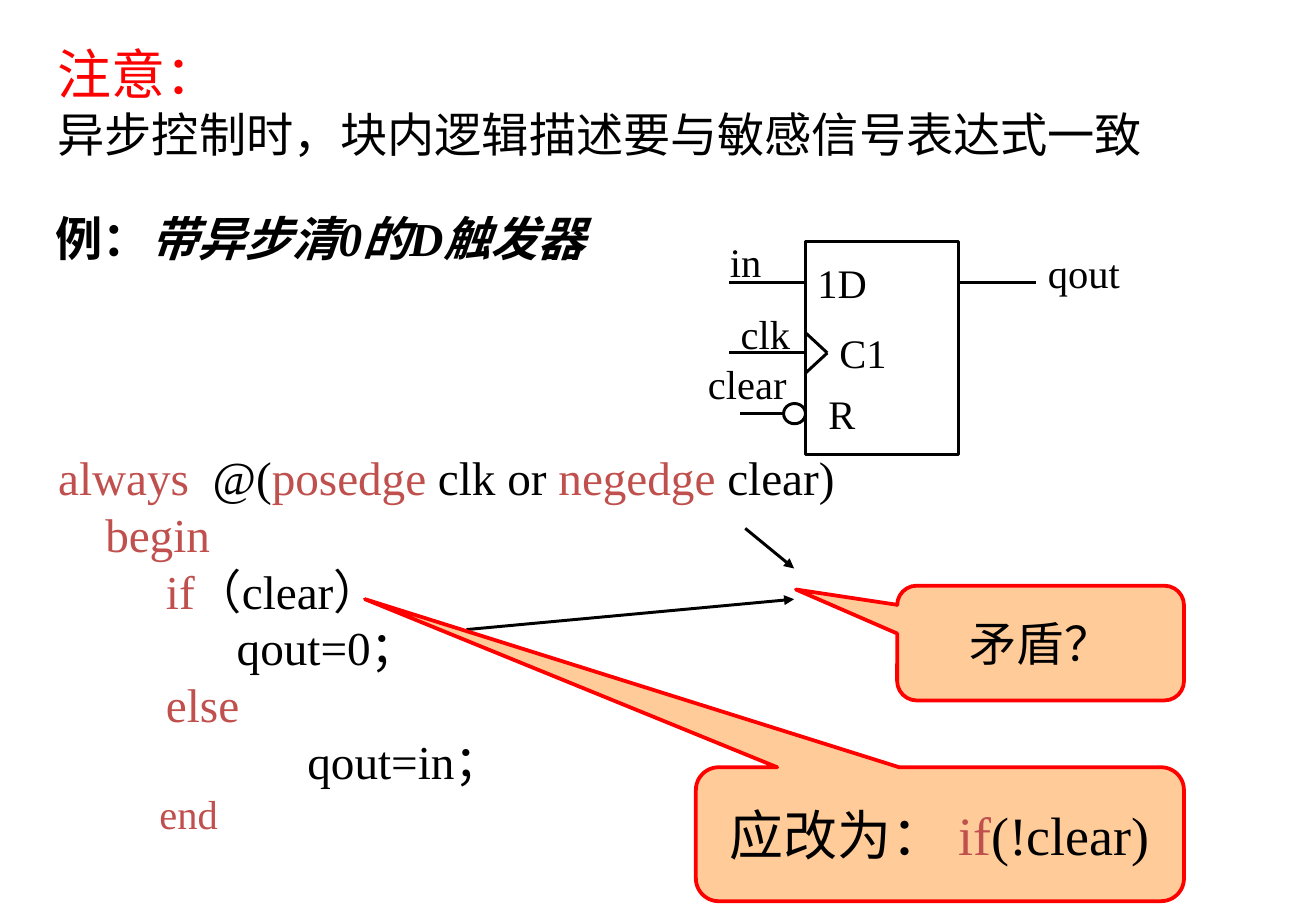
import pptx
import pptx.dml.color
import pptx.enum.shapes
import pptx.enum.text
import pptx.oxml
import pptx.oxml.ns
import pptx.util

Pt = pptx.util.Pt
SHAPES = pptx.enum.shapes.MSO_SHAPE
ALIGN = pptx.enum.text.PP_ALIGN
ANCHOR = pptx.enum.text.MSO_ANCHOR
FONT = "Times New Roman"
BLACK = pptx.dml.color.RGBColor(0, 0, 0)
RED = pptx.dml.color.RGBColor(0xFF, 0, 0)
KEYWORD = pptx.dml.color.RGBColor(0xC0, 0x50, 0x4D)
PEACH = pptx.dml.color.RGBColor(0xFF, 0xCC, 0x99)
LINE_HEIGHT = 1.2

deck = pptx.Presentation()
deck.slide_width = Pt(780.48)
deck.slide_height = Pt(540)
slide = deck.slides.add_slide(deck.slide_layouts[5])


def write(box, lines, align=ALIGN.LEFT, anchor=ANCHOR.TOP, wrap=False):
    """Fill a box; each line is (size, indent, runs), each run (text, colour[, bold, italic])."""
    frame = box.text_frame
    frame.word_wrap = wrap
    frame.vertical_anchor = anchor
    frame.auto_size = pptx.enum.text.MSO_AUTO_SIZE.NONE
    frame.margin_left = frame.margin_right = Pt(7.2)
    frame.margin_top = frame.margin_bottom = Pt(3.6)
    for number, (size, indent, runs) in enumerate(lines):
        para = frame.paragraphs[0] if number == 0 else frame.add_paragraph()
        para.alignment = align
        para.line_spacing = Pt(size * LINE_HEIGHT)
        if indent:
            para._p.get_or_add_pPr().set("marL", str(Pt(indent)))
        for text, colour, *style in runs:
            span = para.add_run()
            span.text = text
            span.font.name = FONT
            span.font.size = Pt(size)
            span.font.color.rgb = colour
            if style:
                span.font.bold, span.font.italic = style


def draw_line(x1, y1, x2, y2, arrow=False):
    line = slide.shapes.add_connector(
        pptx.enum.shapes.MSO_CONNECTOR.STRAIGHT, Pt(x1), Pt(y1), Pt(x2), Pt(y2))
    line.line.color.rgb = BLACK
    line.line.width = Pt(1.75)
    if arrow:
        tail = pptx.oxml.parse_xml(
            f'<a:tailEnd {pptx.oxml.ns.nsdecls("a")} type="triangle"/>')
        line.line._get_or_add_ln().append(tail)
    line._element.spPr.append(
        pptx.oxml.parse_xml(f'<a:effectLst {pptx.oxml.ns.nsdecls("a")}/>'))


# Heading
title = slide.shapes.title
title.left, title.top, title.width, title.height = Pt(27), Pt(20.2), Pt(692), Pt(79.2)
write(title, [
    (32, 0, [("注意：", RED)]),
    (28, 0, [("异步控制时，块内逻辑描述要与敏感信号表达式一致", BLACK)]),
], wrap=True)

example = slide.shapes.add_textbox(Pt(26), Pt(120.6), Pt(355), Pt(41))
write(example, [(28, 0, [("例：", BLACK, True, False),
                         ("带异步清0的D触发器", BLACK, True, True)])])

# Verilog code
code = slide.shapes.add_textbox(Pt(27.4), Pt(262.5), Pt(474.5), Pt(237.6))
write(code, [
    (28, 0, [("always", KEYWORD), ("  @(", BLACK), ("posedge", KEYWORD),
             (" clk or ", BLACK), ("negedge", KEYWORD), (" clear)", BLACK)]),
    (28, 0, [("    ", BLACK), ("begin", KEYWORD)]),
    (28, 36, [("    ", BLACK), ("if", KEYWORD), ("（clear）", BLACK)]),
    (28, 36, [("          qout=0；", BLACK)]),
    (28, 36, [("    ", BLACK), ("else", KEYWORD)]),
    (28, 36, [("                qout=in；", BLACK)]),
    (24, 36, [("    ", BLACK), ("end", KEYWORD)]),
])

# Flip-flop symbol
LEFT, RIGHT, TOP = 477.7, 568.7, 143.3
DATA_Y, CLOCK_Y, CLEAR_Y = 167.2, 209.2, 245.2
body = slide.shapes.add_shape(SHAPES.RECTANGLE, Pt(LEFT), Pt(TOP), Pt(RIGHT - LEFT), Pt(126))
bubble = slide.shapes.add_shape(SHAPES.OVAL, Pt(LEFT - 13), Pt(CLEAR_Y - 6), Pt(13), Pt(12))
for outline in (body, bubble):
    outline.shadow.inherit = False
    outline.fill.background()
    outline.line.color.rgb = BLACK
    outline.line.width = Pt(1.75)

for x1, y1, x2, y2 in [
    (LEFT, CLOCK_Y - 12, LEFT + 13, CLOCK_Y),
    (LEFT + 13, CLOCK_Y, LEFT, CLOCK_Y + 12),
    (LEFT, CLOCK_Y, 432.3, CLOCK_Y),
    (LEFT, DATA_Y, 432.3, DATA_Y),
    (614.3, DATA_Y, RIGHT, DATA_Y),
    (LEFT - 13, CLEAR_Y, 438.8, CLEAR_Y),
]:
    draw_line(x1, y1, x2, y2)

for name, left, top, width in [
    ("C1", 490.7, 191.2, 42.5), ("1D", 477.7, 149.3, 43.9), ("R", 484.2, 227.2, 30.2),
    ("in", 425.8, 137.2, 33.1), ("clk", 432.2, 179.4, 43.2), ("clear", 412.8, 209.2, 61.2),
    ("qout", 614.4, 143.6, 56.9),
]:
    label = slide.shapes.add_textbox(Pt(left), Pt(top), Pt(width), Pt(36))
    write(label, [(24, 0, [(name, BLACK)])])

# Conflict arrows and callouts
draw_line(442, 313.2, 471, 337, arrow=True)
draw_line(276.7, 373.2, 471, 355.2, arrow=True)

for left, top, width, height, tip, size, runs in [
    (532.1, 347.2, 170.1, 68, (-0.853, -0.467), 28, [("矛盾？", BLACK)]),
    (412.7, 454.8, 289.5, 79.4, (-1.178, -1.755), 32,
     [("应改为： ", BLACK), ("if", KEYWORD), ("(!clear)", BLACK)]),
]:
    callout = slide.shapes.add_shape(
        SHAPES.ROUNDED_RECTANGULAR_CALLOUT, Pt(left), Pt(top), Pt(width), Pt(height))
    callout.adjustments[0], callout.adjustments[1] = tip
    callout.adjustments[2] = 0.17
    callout.shadow.inherit = False
    callout.fill.solid()
    callout.fill.fore_color.rgb = PEACH
    callout.line.color.rgb = RED
    callout.line.width = Pt(2.25)
    write(callout, [(size, 0, runs)], ALIGN.CENTER, ANCHOR.MIDDLE, wrap=True)

deck.save("out.pptx")
